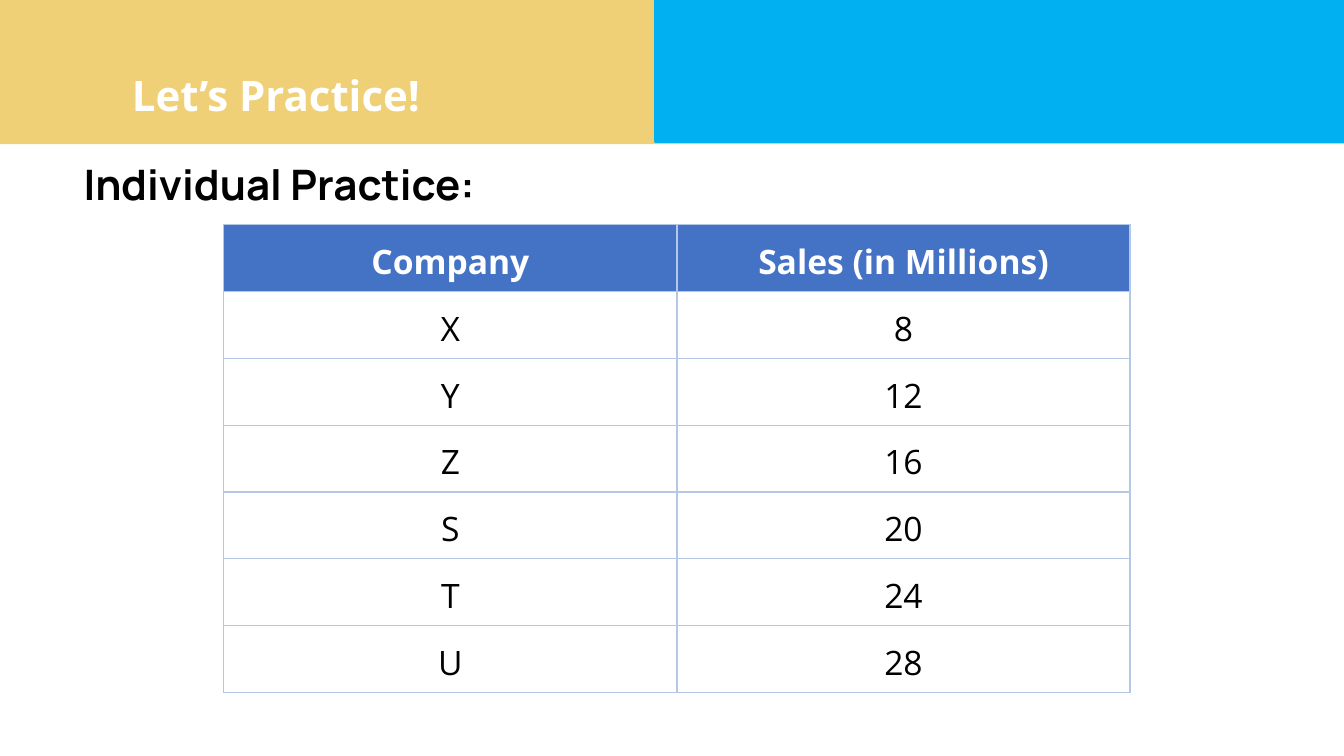
import dataclasses
import pptx
import pptx.dml.color
import pptx.enum.shapes
import pptx.enum.text
import pptx.oxml
import pptx.oxml.ns
import pptx.util

WIDE = pptx.util.Inches(13.33)
HIGH = pptx.util.Inches(7.5)
HUES = {
    "gold": "EFD077",
    "sky": "00B0F0",
    "head": "4472C4",
    "rule": "B4C7E7",
    "white": "FFFFFF",
    "black": "000000",
}
SALES = [
    ("Company", "Sales (in Millions)"),
    ("X", "8"),
    ("Y", "12"),
    ("Z", "16"),
    ("S", "20"),
    ("T", "24"),
    ("U", "28"),
]


@dataclasses.dataclass
class Box:
    left: float
    top: float
    width: float
    height: float

    def place(self) -> list[int]:
        return [
            int(WIDE * self.left / 100),
            int(HIGH * self.top / 100),
            int(WIDE * self.width / 100),
            int(HIGH * self.height / 100),
        ]


@dataclasses.dataclass
class Band:
    box: Box
    hue: str
    line: float


@dataclasses.dataclass
class Label:
    box: Box
    text: str
    font: str
    hue: str
    pad: float
    space: float


GOLD = Band(Box(0, 0, 100, 19.07), "gold", 0)
SKY = Band(Box(48.76, 0, 51.24, 18.8), "sky", 2)
LABELS = [
    Label(Box(9.08, 7.87, 42.54, 12.67), "Let’s Practice!", "Open Sans", "white", 0.1, 1),
    Label(Box(5.48, 21.07, 90.85, 74.8), "Individual Practice:", "Manrope", "black", 0.05, 0.9),
]
GRID = Box(16.65, 29.73, 67.44, 61.87)


def tint(hue: str) -> pptx.dml.color.RGBColor:
    return pptx.dml.color.RGBColor.from_string(HUES[hue])


def style(para, font: str, size: float, hue: str, bold: bool, space: float) -> None:
    para.font.name = font
    para.font.size = pptx.util.Pt(size)
    para.font.bold = bold
    para.font.color.rgb = tint(hue)
    para.line_spacing = space


def draw_band(slide, band: Band) -> None:
    kind = pptx.enum.shapes.MSO_SHAPE.RECTANGLE
    shape = slide.shapes.add_shape(kind, *band.box.place())
    shape.shadow.inherit = False
    shape.fill.solid()
    shape.fill.fore_color.rgb = tint(band.hue)
    if band.line:
        shape.line.color.rgb = tint(band.hue)
        shape.line.width = pptx.util.Pt(band.line)
    else:
        shape.line.fill.background()


def draw_label(slide, label: Label) -> None:
    frame = slide.shapes.add_textbox(*label.box.place()).text_frame
    frame.word_wrap = True
    frame.margin_left = frame.margin_right = pptx.util.Inches(0.1)
    frame.margin_top = frame.margin_bottom = pptx.util.Inches(label.pad)
    frame.text = label.text
    style(frame.paragraphs[0], label.font, 30, label.hue, True, label.space)


def rule(cell) -> None:
    props = cell._tc.get_or_add_tcPr()
    space = pptx.oxml.ns.nsdecls("a")
    for spot, side in enumerate(("lnL", "lnR", "lnT", "lnB")):
        edge = pptx.oxml.parse_xml(
            f'<a:{side} {space} w="{pptx.util.Pt(1)}"><a:solidFill>'
            f'<a:srgbClr val="{HUES["rule"]}"/></a:solidFill></a:{side}>'
        )
        props.insert(spot, edge)


def draw_cell(cell, text: str, head: bool) -> None:
    cell.text = text
    cell.vertical_anchor = pptx.enum.text.MSO_ANCHOR.MIDDLE
    cell.margin_left = cell.margin_right = pptx.util.Inches(0.07)
    cell.margin_top = cell.margin_bottom = 0
    if head:
        cell.fill.solid()
        cell.fill.fore_color.rgb = tint("head")
    else:
        cell.fill.background()
    rule(cell)
    para = cell.text_frame.paragraphs[0]
    para.alignment = pptx.enum.text.PP_ALIGN.CENTER
    style(para, "Open Sans", 24, "white" if head else "black", head, 1.15)


def draw_table(slide, box: Box, rows: list[tuple[str, str]]) -> None:
    table = slide.shapes.add_table(len(rows), len(rows[0]), *box.place()).table
    table.horz_banding = False
    for down, row in enumerate(rows):
        for across, text in enumerate(row):
            draw_cell(table.cell(down, across), text, down == 0)


def main() -> None:
    deck = pptx.Presentation()
    deck.slide_width = WIDE
    deck.slide_height = HIGH
    slide = deck.slides.add_slide(deck.slide_layouts[6])
    draw_band(slide, GOLD)
    for label in LABELS:
        draw_label(slide, label)
    draw_table(slide, GRID, SALES)
    draw_band(slide, SKY)
    deck.save("out.pptx")


if __name__ == "__main__":
    main()
